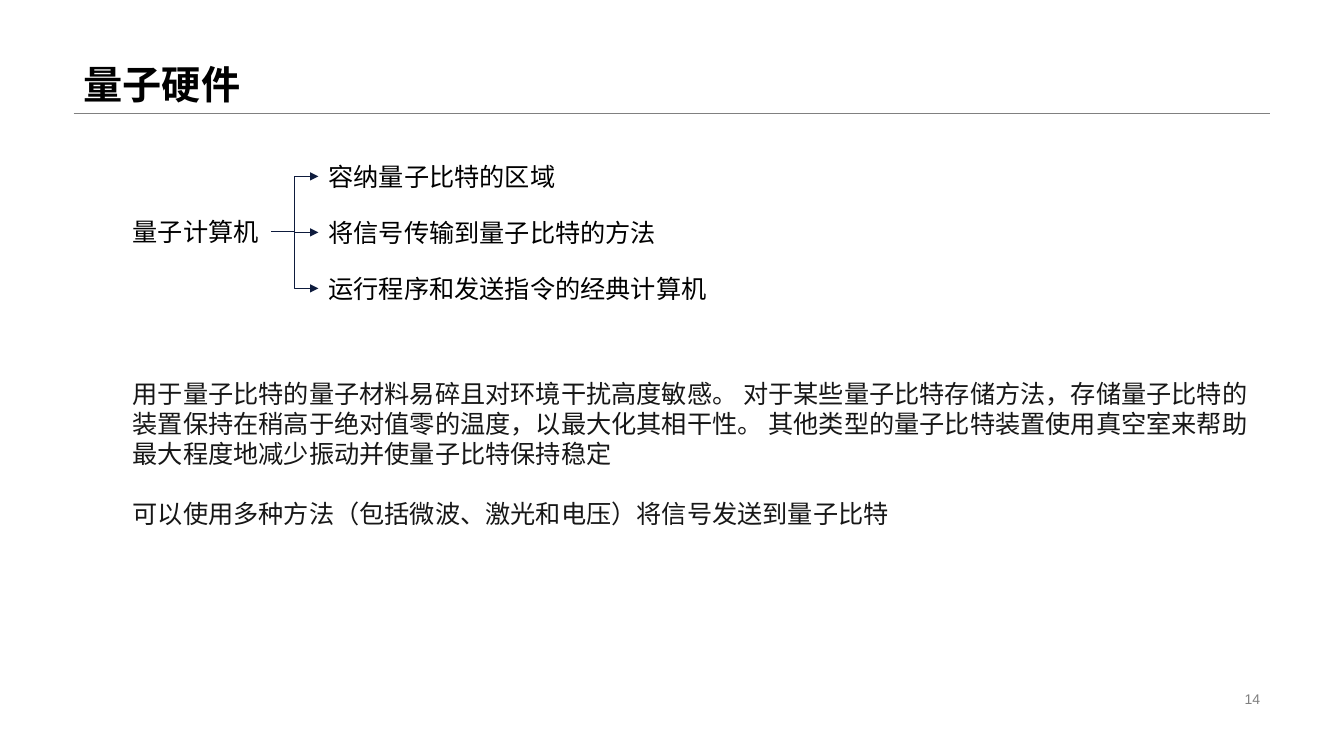
from pptx import Presentation
from pptx.dml.color import RGBColor
from pptx.enum import shapes, text
from pptx.oxml import ns, xmlchemy
from pptx.util import Pt

LEFT, RIGHT = 52.6, 907.2
RULE_Y = 80.6
TEXT_LEFT = 87.8
BRANCH_LEFT, BRANCH_TOP, BRANCH_STEP = 227.5, 111.5, 40
LABEL_HEIGHT = 29
HUB_X, HUB_Y = 193.7, 165.6

BRANCHES = [
    ("容纳量子比特的区域", 178),
    ("将信号传输到量子比特的方法", 250.6),
    ("运行程序和发送指令的经典计算机", 287.3),
]
PARAGRAPHS = [
    "用于量子比特的量子材料易碎且对环境干扰高度敏感。 "
    "对于某些量子比特存储方法，存储量子比特的装置保持在稍高于绝对值零的温度，以最大化其相干性。 "
    "其他类型的量子比特装置使用真空室来帮助最大程度地减少振动并使量子比特保持稳定",
    "可以使用多种方法（包括微波、激光和电压）将信号发送到量子比特",
]


def colour(value):
    return RGBColor.from_string(value)


def add_span(para, words, size, ink="000000", face="Arial", bold=False):
    span = para.add_run()
    span.text = words
    span.font.size = Pt(size)
    span.font.name = face
    span.font.bold = bold
    span.font.color.rgb = colour(ink)


def set_title(page, words):
    title = page.shapes.title
    title.left, title.top = Pt(LEFT), Pt(0)
    title.width, title.height = Pt(RIGHT - LEFT), Pt(RULE_Y)
    frame = title.text_frame
    frame.auto_size = text.MSO_AUTO_SIZE.NONE
    frame.vertical_anchor = text.MSO_ANCHOR.BOTTOM
    para = frame.paragraphs[0]
    para.alignment = text.PP_ALIGN.LEFT
    para.line_spacing = 0.9
    add_span(para, words, 28, bold=True)


def add_frame(page, left, top, width, height, wrap=True):
    box = page.shapes.add_textbox(Pt(left), Pt(top), Pt(width), Pt(height))
    box.text_frame.word_wrap = wrap
    return box.text_frame


def add_label(page, words, left, top, width):
    frame = add_frame(page, left, top, width, LABEL_HEIGHT, wrap=False)
    add_span(frame.paragraphs[0], words, 18)


def add_line(page, kind, start, end, ink, weight):
    line = page.shapes.add_connector(kind, *map(Pt, start + end))
    line.line.color.rgb = colour(ink)
    line.line.width = Pt(weight)
    properties = line._element.spPr
    properties.append(xmlchemy.OxmlElement("a:effectLst"))
    return line


def add_branch_arrow(page, y):
    arrow = add_line(page, shapes.MSO_CONNECTOR.ELBOW,
                     (HUB_X, HUB_Y), (BRANCH_LEFT, y), "0E1B3D", 0.5)
    head = xmlchemy.OxmlElement("a:tailEnd")
    head.set("type", "triangle")
    arrow._element.spPr.find(ns.qn("a:ln")).append(head)


def add_body(page):
    frame = add_frame(page, TEXT_LEFT, 266.4, 818.6, 116.6)
    for index, words in enumerate(PARAGRAPHS):
        para = frame.add_paragraph() if index else frame.paragraphs[0]
        if index:
            para.space_before = Pt(21)
        add_span(para, words, 18, "171717", "Roboto")


def add_page_number(page, number):
    frame = add_frame(page, 678.2, 491, RIGHT - 678.2, 16.6)
    frame.vertical_anchor = text.MSO_ANCHOR.MIDDLE
    para = frame.paragraphs[0]
    para.alignment = text.PP_ALIGN.RIGHT
    add_span(para, number, 10, "808080")


def main():
    deck = Presentation()
    deck.slide_width, deck.slide_height = Pt(960), Pt(540)
    page = deck.slides.add_slide(deck.slide_layouts.get_by_name("Title Only"))

    add_line(page, shapes.MSO_CONNECTOR.STRAIGHT,
             (LEFT, RULE_Y), (RIGHT, RULE_Y), "808080", 0.25)
    set_title(page, "量子硬件")
    add_page_number(page, "14")

    add_label(page, "量子计算机", TEXT_LEFT, 151.2, 105.1)
    for index, (words, width) in enumerate(BRANCHES):
        top = BRANCH_TOP + index * BRANCH_STEP
        add_label(page, words, BRANCH_LEFT, top, width)
        add_branch_arrow(page, top + LABEL_HEIGHT / 2)

    add_body(page)
    deck.save("out.pptx")


if __name__ == "__main__":
    main()
